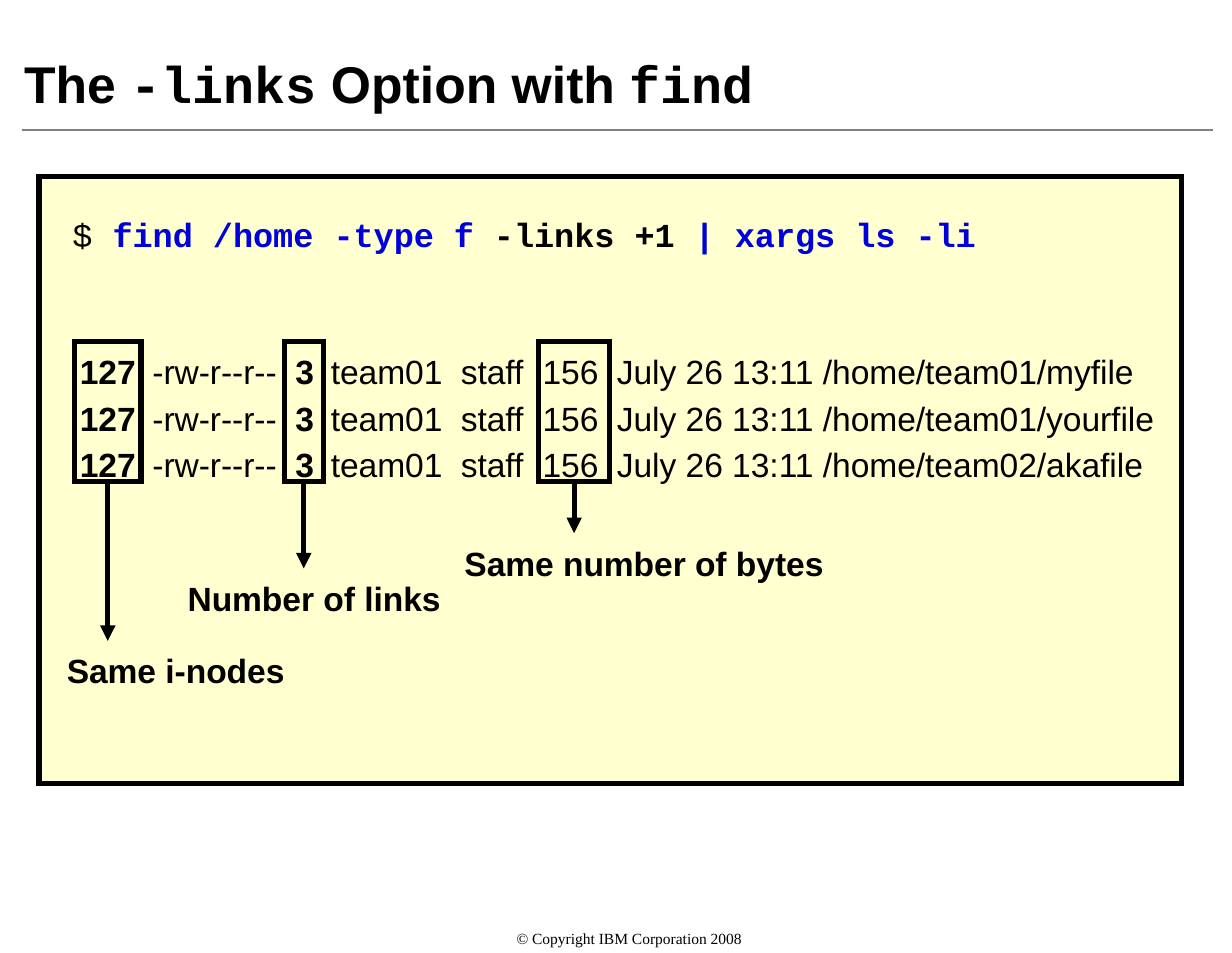
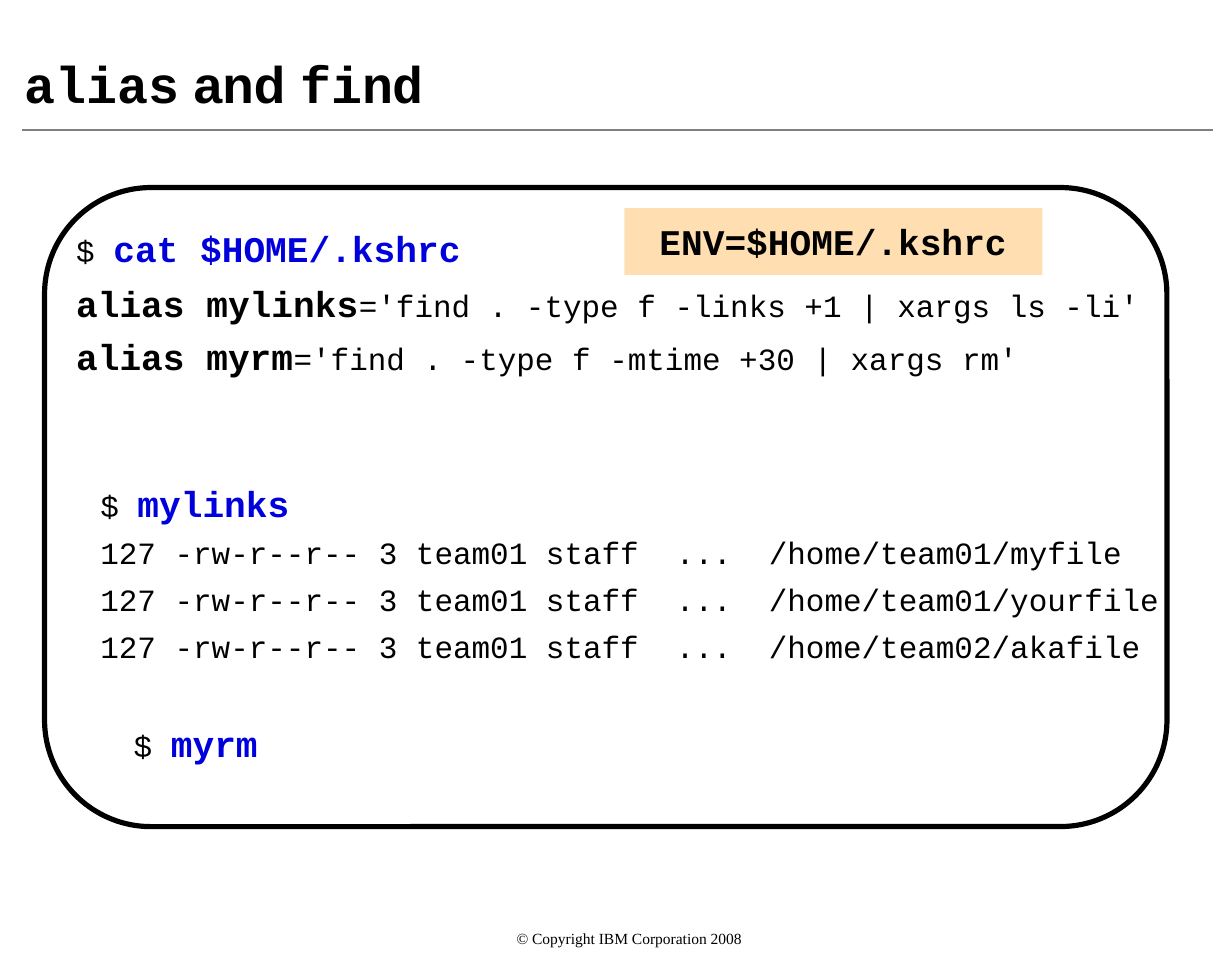
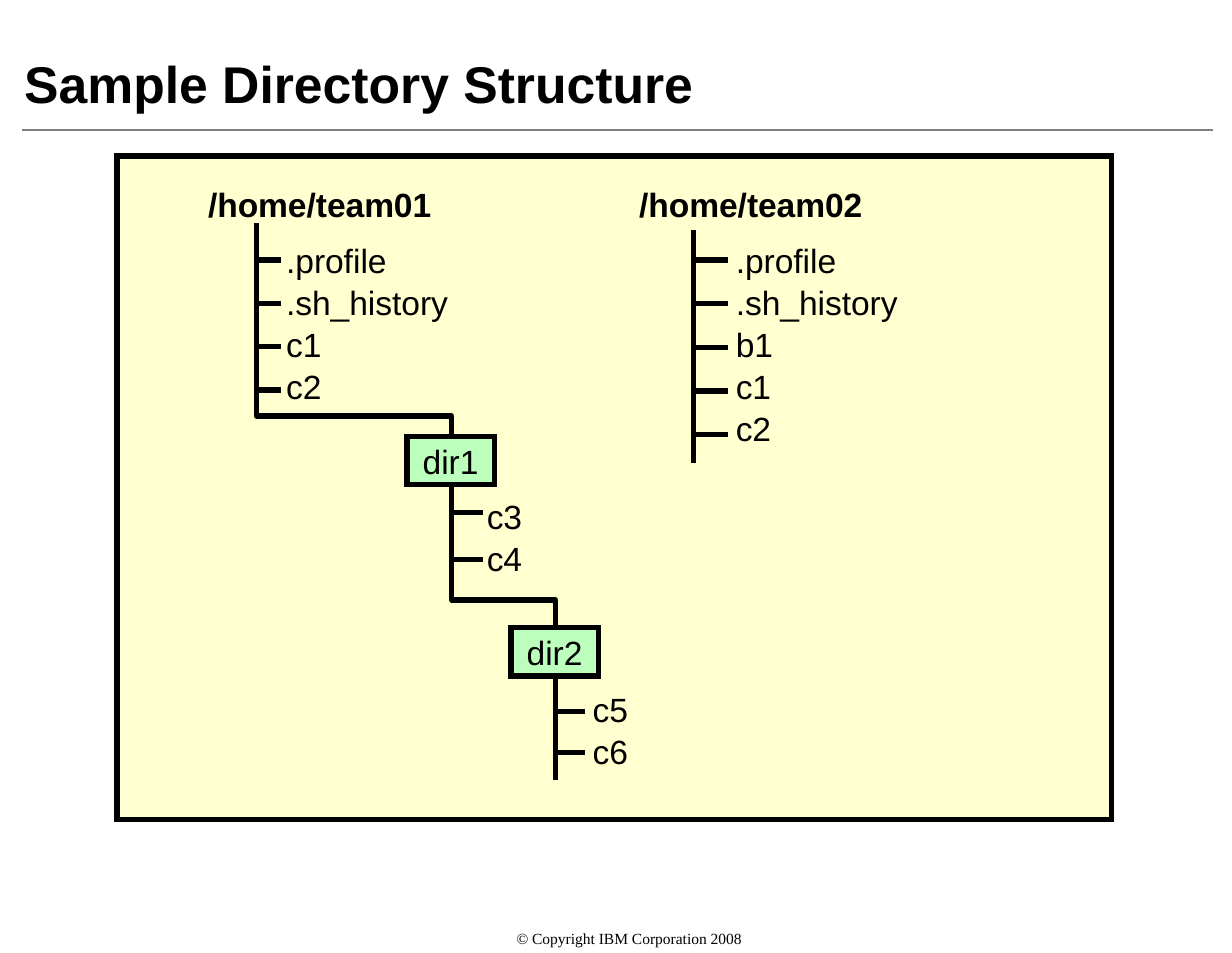
from pptx import Presentation
from pptx.dml.color import RGBColor
from pptx.enum.shapes import MSO_CONNECTOR, MSO_SHAPE
from pptx.enum.text import MSO_ANCHOR, PP_ALIGN
from pptx.oxml.ns import qn
from pptx.util import Inches, Pt
from lxml import etree

STRAIGHT = MSO_CONNECTOR.STRAIGHT
RECT, ROUND_RECT = MSO_SHAPE.RECTANGLE, MSO_SHAPE.ROUNDED_RECTANGLE
TOP, MIDDLE = MSO_ANCHOR.TOP, MSO_ANCHOR.MIDDLE
LEFT, CENTER = PP_ALIGN.LEFT, PP_ALIGN.CENTER
BOTTOM_SIDE = 2

WIDTH, HEIGHT = 6.63, 5.13
COLORS = {"ink": "000000", "rule": "808080", "panel": "FFFFD0",
          "command": "0000DC", "note": "FFDEB1", "folder": "BCFFBC"}
SANS, MONO, SERIF = "Arial", "Courier New", "Times New Roman"
BODY = 13
ROW_GAP, TREE_GAP = 2.4, 0.7

TITLE_MONO = {"font": MONO}
COMMAND = {"color": "command", "bold": True}
BIG_COMMAND = {**COMMAND, "size": 14}
BIG_BOLD = {"bold": True, "size": 14}


def rgb(name):
    return RGBColor.from_string(COLORS[name])


def set_font(f, font=None, size=None, color=None, bold=None):
    if font:
        f.name = font
    if size:
        f.size = Pt(size)
    if color:
        f.color.rgb = rgb(color)
    if bold is not None:
        f.bold = bold


def fill_text(tf, paragraphs, align=LEFT, gap=0, indents=(), **style):
    """Each paragraph is a string or a list of (text, style) runs; gap is one number or one per paragraph."""
    gaps = gap if isinstance(gap, list) else [gap] * len(paragraphs)
    for i, runs in enumerate(paragraphs):
        p = tf.paragraphs[0] if i == 0 else tf.add_paragraph()
        p.alignment, p.space_after = align, Pt(gaps[i])
        if i < len(indents) and indents[i]:
            p._p.get_or_add_pPr().set("marL", str(Inches(indents[i])))
        set_font(p.font, **{"font": SANS, "size": BODY, "color": "ink", **style})
        for text, run_style in [(runs, {})] if isinstance(runs, str) else runs:
            r = p.add_run()
            r.text = text
            set_font(r.font, **run_style)


def no_insets(tf):
    tf.margin_left = tf.margin_top = tf.margin_right = tf.margin_bottom = 0


def add_text(s, x, y, w, h, paragraphs, wrap=False, **style):
    tf = s.shapes.add_textbox(*map(Inches, (x, y, w, h))).text_frame
    no_insets(tf)
    tf.word_wrap, tf.vertical_anchor = wrap, TOP
    fill_text(tf, paragraphs, **style)


def outline(sp, color="ink", width=2):
    sp.line.color.rgb = rgb(color)
    sp.line.width = Pt(width)


def add_box(s, x, y, w, h, fill=None, shape=RECT, line=True, text=None, **style):
    sp = s.shapes.add_shape(shape, *map(Inches, (x, y, w, h)))
    sp.shadow.inherit = False
    if fill:
        sp.fill.solid()
        sp.fill.fore_color.rgb = rgb(fill)
    else:
        sp.fill.background()
    if line:
        outline(sp)
        etree.SubElement(sp.line._get_or_add_ln(), qn("a:miter"), lim="800000")
    else:
        sp.line.fill.background()
    if text:
        tf = sp.text_frame
        no_insets(tf)
        tf.word_wrap, tf.vertical_anchor = False, MIDDLE
        fill_text(tf, [text], align=CENTER, **style)
    return sp


def add_line(s, x1, y1, x2, y2, color="ink", width=2, arrow=False):
    c = s.shapes.add_connector(STRAIGHT, *map(Inches, (x1, y1, x2, y2)))
    outline(c, color, width)
    if arrow:
        etree.SubElement(c.line._get_or_add_ln(), qn("a:tailEnd"), type="triangle")
    etree.SubElement(c._element.spPr, qn("a:effectLst"))
    return c


def new_slide(prs, title):
    """Add a slide with the shared rule, title and footer."""
    s = prs.slides.add_slide(prs.slide_layouts[6])
    add_line(s, 0.12, 0.7, WIDTH - 0.1, 0.7, "rule", 1)
    add_text(s, 0.13, 0.28, WIDTH - 0.28, 0.34, [title], size=20, bold=True)
    add_text(s, 0.24, 5, WIDTH - 0.34, 0.13, ["© Copyright IBM Corporation 2008"],
             wrap=True, align=CENTER, font=SERIF, size=6)
    return s


def file_listing(s, x, y):
    """Place the columns of the listing and frame three of them with a label below."""
    days = [f"July 26 13:11 /home/{name}"
            for name in ("team01/myfile", "team01/yourfile", "team02/akafile")]
    columns = [(0.03, 0.31, ["127"] * 3, True), (0.42, 0.69, ["-rw-r--r--"] * 3, False),
               (1.19, 0.11, ["3"] * 3, True), (1.38, 0.62, ["team01"] * 3, False),
               (2.08, 0.35, ["staff"] * 3, False), (2.52, 0.31, ["156"] * 3, False),
               (2.92, 2.96, days, False)]
    for dx, w, rows, bold in columns:
        add_text(s, x + dx, y + 0.05, w, 0.72, rows, gap=ROW_GAP, bold=bold)

    frames = [(0, 0.36, 1.61, -0.04, 1.2, "Same i-nodes"),
              (1.13, 0.21, 1.22, 0.61, 1.39, "Number of links"),
              (2.5, 0.38, 1.03, 2.1, 1.96, "Same number of bytes")]
    for dx, w, arrow_end, label_dx, label_w, label in frames:
        frame = add_box(s, x + dx, y, w, 0.75)
        mid = x + dx + w / 2
        arrow = add_line(s, mid, y + 0.75, mid, y + arrow_end, arrow=True)
        arrow.begin_connect(frame, BOTTOM_SIDE)
        add_text(s, x + label_dx, y + arrow_end + 0.05, label_w, 0.22, [label], bold=True)


def links_slide(prs):
    s = new_slide(prs, [("The ", {}), ("-links", TITLE_MONO),
                        (" Option with ", {}), ("find", TITLE_MONO)])
    x, y = 0.21, 0.95
    add_box(s, x, y, 6.15, 3.27, "panel")
    add_text(s, x + 0.18, y + 0.2, 5.26, 0.22,
             [[("$ ", {}), ("find /home -type f ", COMMAND),
               ("-links +1 ", {"bold": True}), ("| xargs ls -li", COMMAND)]], font=MONO)
    file_listing(s, x + 0.19, y + 0.89)


def alias_slide(prs):
    s = new_slide(prs, [("alias", TITLE_MONO), (" and ", {}), ("find", TITLE_MONO)])
    x, y = 0.24, 1.01
    listing = [f"127 -rw-r--r-- 3 team01 staff  ...  /home/{name}"
               for name in ("team01/myfile", "team01/yourfile", "team02/akafile")]
    lines = [[("$ ", {}), ("cat $HOME/.kshrc", BIG_COMMAND)],
             [("alias mylinks", BIG_BOLD), ("='find . -type f -links +1 | xargs ls -li'", {})],
             [("alias myrm", BIG_BOLD), ("='find . -type f -mtime +30 | xargs rm'", {})],
             [("$ ", {}), ("mylinks", BIG_COMMAND)],
             *listing,
             [("$ ", {}), ("myrm", BIG_COMMAND)]]
    add_text(s, x + 0.17, y + 0.21, 6.21, 2.9, lines, font=MONO, size=12,
             gap=[4.4, 3.7, 40.1, 3.7, 3.7, 3.7, 22, 0],
             indents=[0, 0, 0] + [0.13] * 4 + [0.31])
    add_box(s, x + 3.12, y + 0.11, 2.25, 0.36, "note", line=False,
            text="ENV=$HOME/.kshrc", font=MONO, size=14, bold=True)
    add_box(s, x, y, 6.04, 3.44, shape=ROUND_RECT)


def branch(s, x, y, step, tick, label_dx, label_dy, names):
    """Place evenly stepped ticks to the right of a trunk at x, with the names beside them."""
    for i in range(len(names)):
        add_line(s, x, y + i * step, x + tick, y + i * step)
    add_text(s, x + label_dx, y + label_dy, 0.9, 0.22 * len(names), names, gap=TREE_GAP)


def directory_slide(prs):
    s = new_slide(prs, "Sample Directory Structure")
    x, y = 0.63, 0.84
    add_box(s, x, y, 5.35, 3.57, "panel")
    for dx, name in ((0.49, "/home/team01"), (2.81, "/home/team02")):
        add_text(s, x + dx, y + 0.15, 1.23, 0.22, [name], bold=True)

    home, dir1, dir2 = x + 0.75, x + 1.8, x + 2.36
    trunk = [(home, y + 0.36), (home, y + 1.4), (dir1, y + 1.4),
             (dir1, y + 2.39), (dir2, y + 2.39), (dir2, y + 3.36)]
    points = [(Inches(px), Inches(py)) for px, py in trunk]
    builder = s.shapes.build_freeform(*points[0])
    builder.add_line_segments(points[1:], close=False)
    sp = builder.convert_to_shape()
    sp.shadow.inherit = False
    sp.fill.background()
    outline(sp)
    for mid, dy, name in ((dir1, 1.51, "dir1"), (dir2, 2.54, "dir2")):
        add_box(s, mid - 0.24, y + dy, 0.47, 0.26, "folder", text=name)

    other = x + 3.1
    add_line(s, other, y + 0.4, other, y + 1.65)
    shared = [".profile", ".sh_history"]
    branch(s, home, y + 0.56, 0.7 / 3, 0.13, 0.16, -0.11, shared + ["c1", "c2"])
    branch(s, dir1, y + 1.92, 0.25, 0.17, 0.19, -0.09, ["c3", "c4"])
    branch(s, dir2, y + 2.99, 0.22, 0.16, 0.2, -0.12, ["c5", "c6"])
    branch(s, other, y + 0.56, 0.94 / 4, 0.19, 0.23, -0.11, shared + ["b1", "c1", "c2"])


def main():
    prs = Presentation()
    prs.slide_width, prs.slide_height = Inches(WIDTH), Inches(HEIGHT)
    links_slide(prs)
    alias_slide(prs)
    directory_slide(prs)
    prs.save("out.pptx")


if __name__ == "__main__":
    main()
